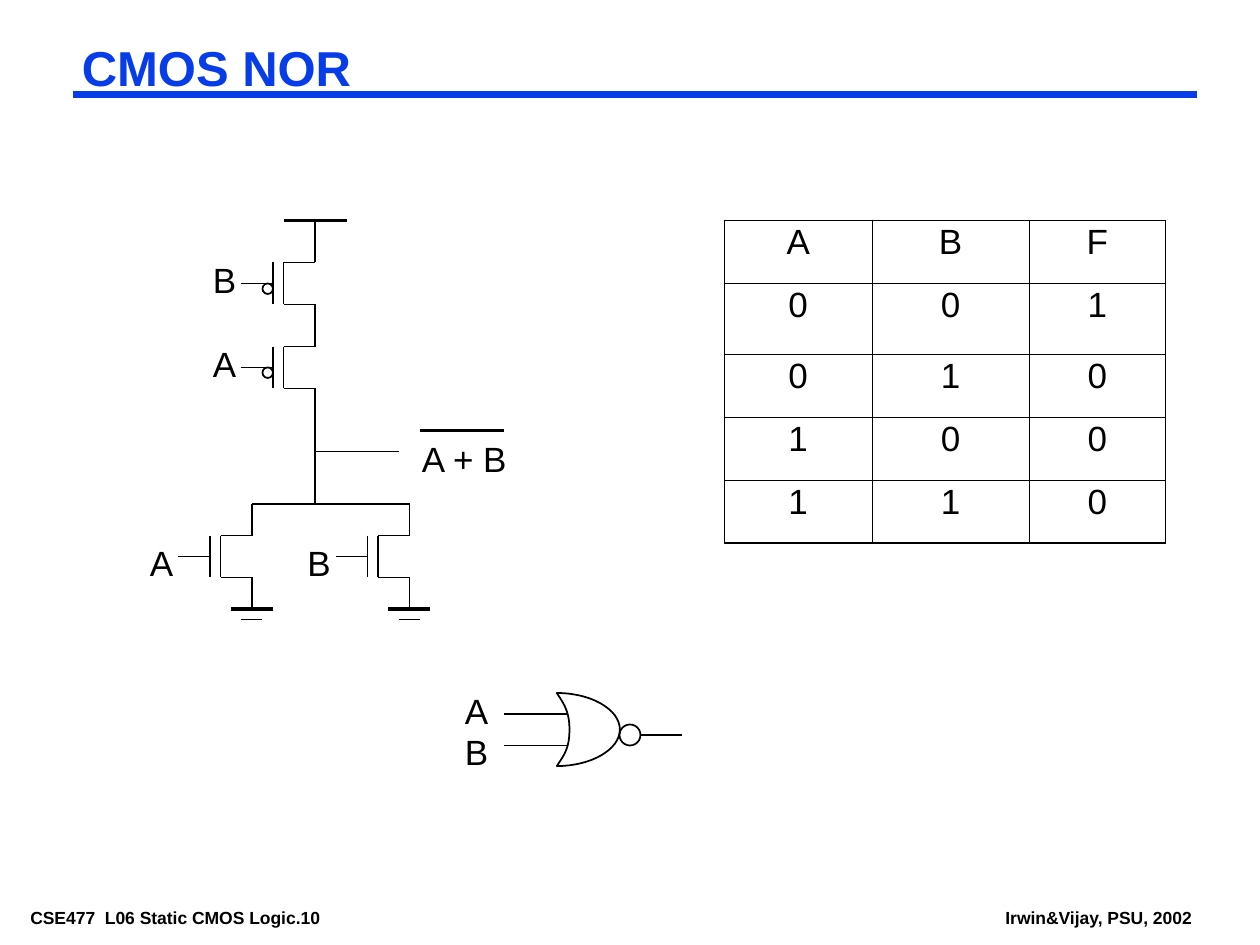
from lxml import etree
from pptx import Presentation, util as u
from pptx.dml.color import RGBColor
from pptx.enum import shapes, text
from pptx.oxml import ns

COLORS = {"blue": "063DE8", "ink": "000000"}
FONT = "Arial"
GRID = 1 / 12
THIN, THICK = 1, 2.25

TITLE = "CMOS NOR"
FOOTERS = [("CSE477  L06 Static CMOS Logic.10", 0.17, 2.95), ("Irwin&Vijay, PSU, 2002", 7.91, 1.63)]
LABELS = [
    ("B", 1.59, 2, 0.38), ("A", 1.59, 2.67, 0.38), ("A + B", 3.25, 3.42, 0.89),
    ("A", 1.09, 4.25, 0.38), ("B", 2.34, 4.25, 0.38),
    ("A", 3.59, 5.42, 0.38), ("B", 3.59, 5.75, 0.38),
]

TRUTH = ["ABF", "001", "010", "100", "110"]
COLUMNS = [1.17, 1.25, 1.08]
ROWS = [0.5, 0.56, 0.5, 0.5, 0.5]
VERTICAL_RULES = [1.08, 0.45, 1.08, 1.08]
HORIZONTAL_RULES = [1.08, 1.08, 0.45, 0.45, 0.45, 1.08]

# Circuit geometry, in grid units
CHANNEL = [(-3, 0, 0, 0), (-3, 0, -3, 4), (-3, 4, 0, 4), (-4, 0, -4, 4), (0, 4, 0, 7), (-7, 2, -4, 2)]
PULL_UP = [(30, 25), (30, 33)]
PULL_DOWN = [(24, 51), (39, 51)]
SUPPLY_LEAD, SUPPLY_BAR = (30, 24, 30, 21), (27, 21, 33, 21)
OUTPUT = [(30, 48, 30, 38), (30, 43, 38, 43)]
OVERBAR = (40, 41, 48, 41)
PARALLEL = [(24, 48, 24, 51), (39, 48, 39, 51), (24, 48, 39, 48)]
GATE_LEADS = [(48, 68, 54, 68), (48, 71, 54, 71), (61, 70, 65, 70)]
GATE_CURVES = [
    [(4.42, 5.5), (4.47, 5.58), (4.52, 5.64), (4.52, 5.79)],
    [(4.52, 5.79), (4.52, 5.95), (4.47, 6), (4.42, 6.08)],
    [(4.42, 6.08), (4.69, 6.08), (4.92, 5.95), (4.92, 5.79)],
    [(4.92, 5.79), (4.92, 5.63), (4.69, 5.5), (4.42, 5.5)],
]


def write(frame, words, size, color="ink", bold=False, inset=(0.1, 0.05), wrap=False):
    frame.word_wrap = wrap
    frame.auto_size = text.MSO_AUTO_SIZE.NONE
    frame.vertical_anchor = text.MSO_ANCHOR.TOP
    frame.margin_left = frame.margin_right = u.Inches(inset[0])
    frame.margin_top = frame.margin_bottom = u.Inches(inset[1])
    return write_run(frame.paragraphs[0], words, size, color, bold)


def write_run(paragraph, words, size, color="ink", bold=False):
    run = paragraph.add_run()
    run.text = words
    run.font.name, run.font.size, run.font.bold = FONT, u.Pt(size), bold
    run.font.color.rgb = RGBColor.from_string(COLORS[color])
    return paragraph


def add_label(slide, words, left, top, width, height, size, **style):
    box = slide.shapes.add_textbox(*map(u.Inches, (left, top, width, height)))
    write(box.text_frame, words, size, **style)


def wire(parent, points, weight=THIN, color="ink", unit=GRID):
    ends = [u.Inches(value * unit) for value in points]
    line = parent.shapes.add_connector(shapes.MSO_CONNECTOR.STRAIGHT, *ends)
    line.line.width = u.Pt(weight)
    line.line.color.rgb = RGBColor.from_string(COLORS[color])
    etree.SubElement(line._element.spPr, ns.qn("a:effectLst"))


def outline(shape):
    shape.shadow.inherit = False
    shape.fill.background()
    shape.line.width = u.Pt(THIN)
    shape.line.color.rgb = RGBColor.from_string(COLORS["ink"])


def bubble(parent, left, top, size):
    box = [u.Inches(value * GRID) for value in (left, top, size, size)]
    outline(parent.shapes.add_shape(shapes.MSO_SHAPE.OVAL, *box))


def add_transistor(slide, x, y, pull_up):
    group = slide.shapes.add_group_shape()
    thin_extra = (0, -3, 0, 0) if pull_up else (-1, 8, 1, 8)
    for x1, y1, x2, y2 in CHANNEL + [thin_extra]:
        wire(group, (x + x1, y + y1, x + x2, y + y2))
    if pull_up:
        bubble(group, x - 5, y + 2, 1)
    else:
        wire(group, (x - 2, y + 7, x + 2, y + 7), THICK)


def add_gate(slide, steps=16):
    points = []
    for a, b, c, d in GATE_CURVES:
        for t in (step / steps for step in range(steps)):
            weights = ((1 - t) ** 3, 3 * t * (1 - t) ** 2, 3 * t * t * (1 - t), t ** 3)
            points.append(tuple(u.Inches(sum(w * p[axis] for w, p in zip(weights, (a, b, c, d))))
                                for axis in (0, 1)))
    builder = slide.shapes.build_freeform(*points[0], scale=1.0)
    builder.add_line_segments(points[1:], close=True)
    outline(builder.convert_to_shape())
    bubble(slide, 59, 69, 2)


def set_border(cell, side, weight):
    line = etree.SubElement(cell._tc.get_or_add_tcPr(), ns.qn(f"a:{side}"), w=str(u.Pt(weight)))
    fill = etree.SubElement(line, ns.qn("a:solidFill"))
    etree.SubElement(fill, ns.qn("a:srgbClr"), val=COLORS["ink"])


def add_truth_table(slide):
    area = map(u.Inches, (5.75, 1.75, sum(COLUMNS), sum(ROWS)))
    table = slide.shapes.add_table(len(ROWS), len(COLUMNS), *area).table
    table.first_row = table.horz_banding = False
    for column, width in zip(table.columns, COLUMNS):
        column.width = u.Inches(width)
    for r, (values, height) in enumerate(zip(TRUTH, ROWS)):
        table.rows[r].height = u.Inches(height)
        for c, value in enumerate(values):
            cell = table.cell(r, c)
            paragraph = write_run(cell.text_frame.paragraphs[0], value, 20)
            paragraph.alignment = text.PP_ALIGN.CENTER
            paragraph.line_spacing = 0.9
            for side, weight in (("lnL", VERTICAL_RULES[c]), ("lnR", VERTICAL_RULES[c + 1]),
                                 ("lnT", HORIZONTAL_RULES[r]), ("lnB", HORIZONTAL_RULES[r + 1])):
                set_border(cell, side, weight)
            cell.fill.background()


def main():
    """Build the CMOS NOR slide with its circuit, truth table and gate symbol."""
    deck = Presentation()
    deck.slide_width, deck.slide_height = u.Inches(10), u.Inches(7.5)
    slide = deck.slides.add_slide(deck.slide_layouts[5])

    title = slide.shapes.title
    title.left, title.top, title.width, title.height = map(u.Inches, (0.58, 0.33, 8.92, 0.46))
    heading = write(title.text_frame, TITLE, 28, "blue", True, (0.07, 0.03), True)
    heading.alignment, heading.line_spacing = text.PP_ALIGN.LEFT, 0.87
    wire(slide, (0.58, 0.75, 9.5, 0.75), 4.5, "blue", unit=1)
    for words, left, width in FOOTERS:
        add_label(slide, words, left, 7.17, width, 0.22, 10, bold=True, inset=(0.07, 0.03))

    for points in OUTPUT + PARALLEL + GATE_LEADS + [SUPPLY_LEAD]:
        wire(slide, points)
    for points in (SUPPLY_BAR, OVERBAR):
        wire(slide, points, THICK)
    for places, pull_up in ((PULL_UP, True), (PULL_DOWN, False)):
        for x, y in places:
            add_transistor(slide, x, y, pull_up)
    for words, left, top, width in LABELS:
        add_label(slide, words, left, top, width, 0.44, 20)
    add_gate(slide)
    add_truth_table(slide)
    deck.save("out.pptx")


if __name__ == "__main__":
    main()
